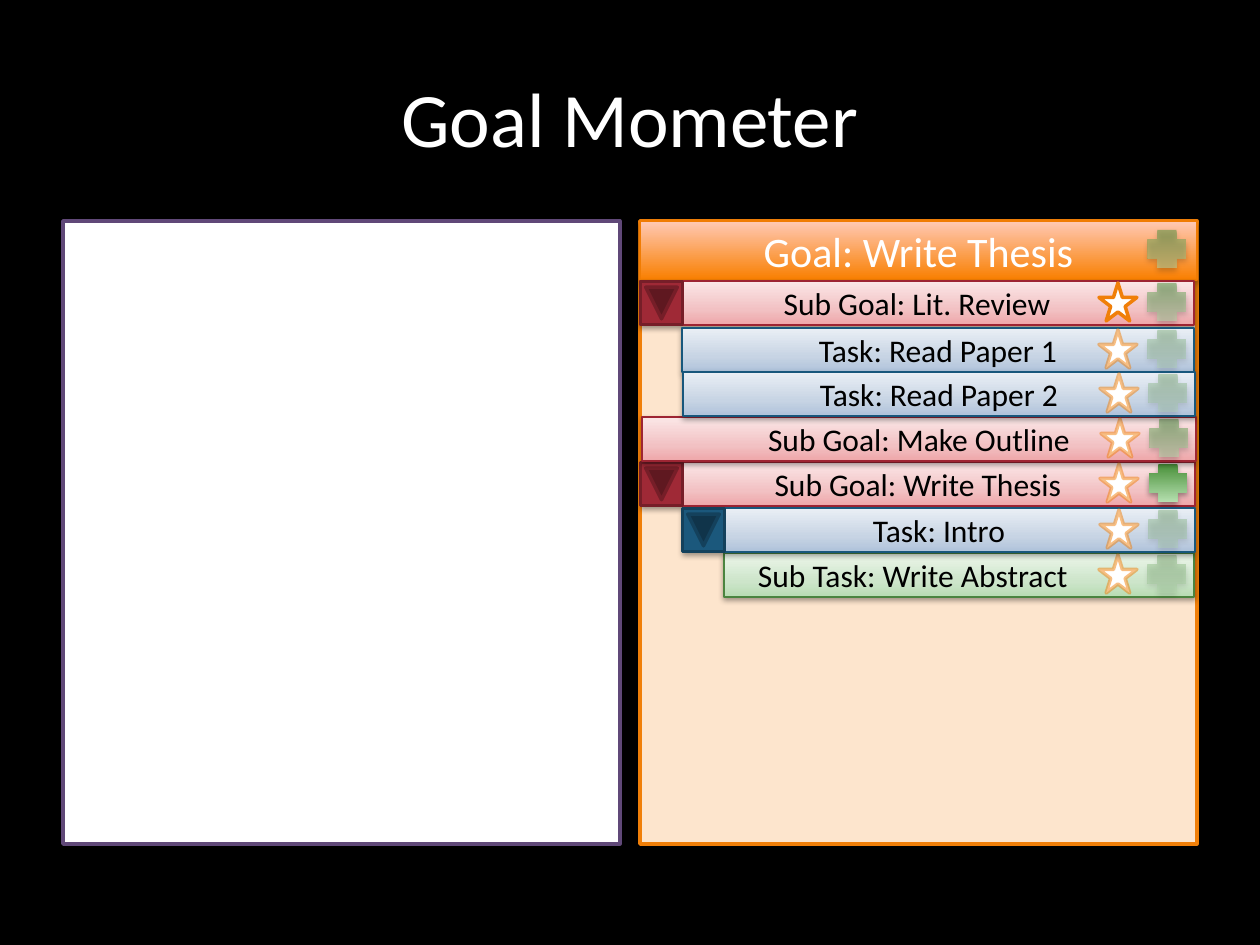
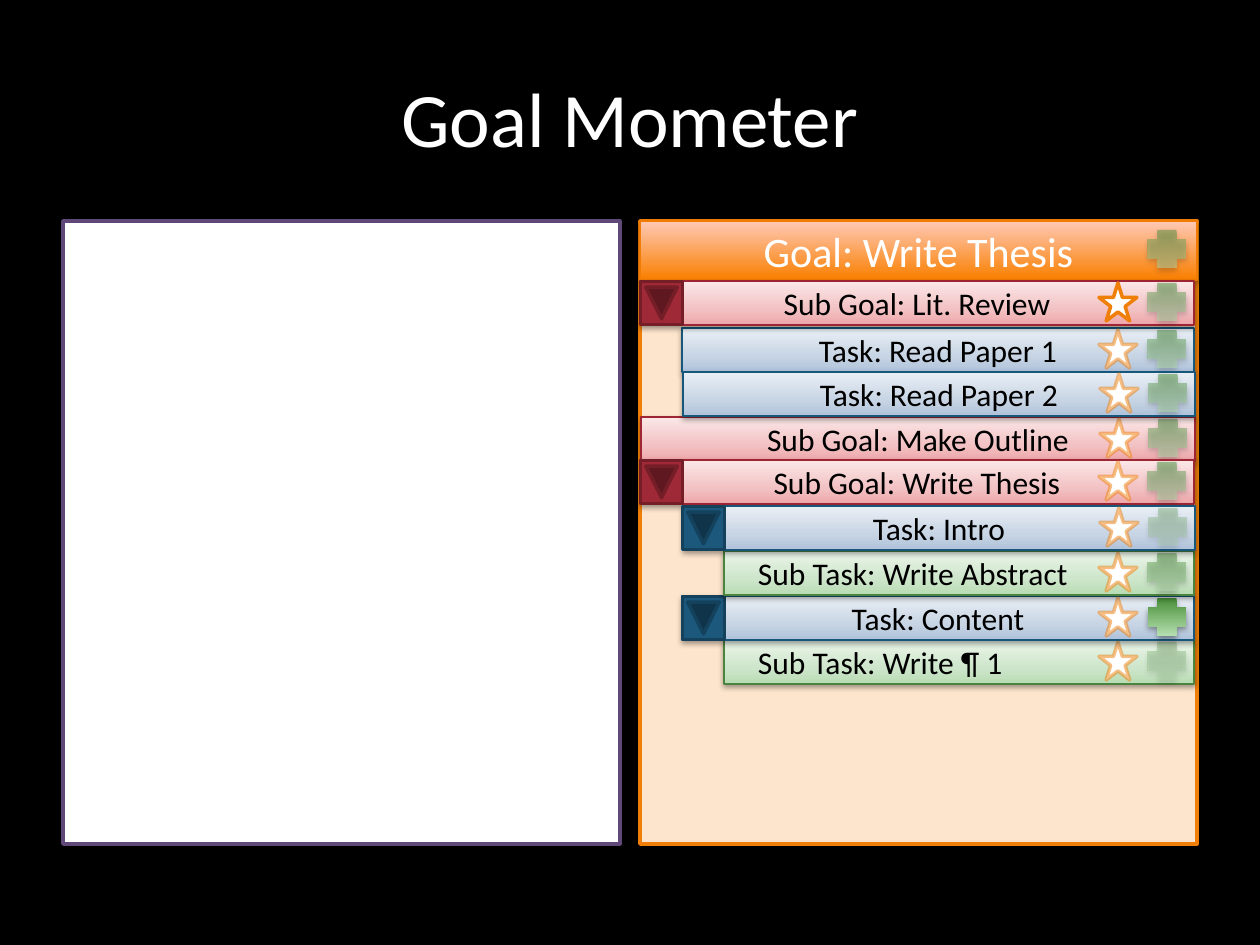
from lxml.etree import SubElement
from pptx import Presentation
from pptx.dml.color import RGBColor
from pptx.enum.shapes import MSO_SHAPE as SHAPE
from pptx.enum.text import MSO_ANCHOR as ANCHOR, PP_ALIGN as ALIGN
from pptx.oxml.ns import qn
from pptx.util import Emu, Pt

PX = 914400 / 126
FONT = "Calibri"

BLACK = RGBColor(0x00, 0x00, 0x00)
WHITE = RGBColor(0xFF, 0xFF, 0xFF)
PURPLE = RGBColor(0x60, 0x48, 0x78)
ORANGE = RGBColor(0xF0, 0x7F, 0x09)
ORANGE_EDGE = RGBColor(0xF0, 0x7C, 0x03)
PEACH = RGBColor(0xFD, 0xE5, 0xCD)
RED = RGBColor(0x9F, 0x29, 0x36)
RED_EDGE = RGBColor(0x9E, 0x25, 0x33)
DARK_RED = RGBColor(0x76, 0x1E, 0x28)
BLUE = RGBColor(0x1B, 0x58, 0x7C)
BLUE_EDGE = RGBColor(0x18, 0x57, 0x7C)
DARK_BLUE = RGBColor(0x14, 0x41, 0x5C)
GREEN_EDGE = RGBColor(0x4B, 0x84, 0x3F)

# Gradient stops run from bottom to top: (percent, colour)
HEADER_STOPS = [(0, RGBColor(0xF9, 0x7F, 0x00)), (100, RGBColor(0xFF, 0xC9, 0xB5))]
PLUS_STOPS = [(0, RGBColor(0x48, 0x8F, 0x38)), (100, RGBColor(0xB5, 0xDF, 0xAF))]
RED_STOPS = [(0, RGBColor(0xEE, 0xA6, 0xA9)), (35, RGBColor(0xF2, 0xC1, 0xC3)),
             (100, RGBColor(0xFB, 0xE7, 0xE7))]
BLUE_STOPS = [(0, RGBColor(0xAF, 0xC2, 0xDA)), (35, RGBColor(0xC7, 0xD4, 0xE4)),
              (100, RGBColor(0xEA, 0xEF, 0xF5))]
GREEN_STOPS = [(0, RGBColor(0xB8, 0xDC, 0xB3)), (35, RGBColor(0xCD, 0xE5, 0xCA)),
               (100, RGBColor(0xEC, 0xF6, 0xEA))]

# Row level: left edge, gradient, outline, button fill, button outline
LEVELS = {
    "Sub Goal": (640, RED_STOPS, RED_EDGE, RED, DARK_RED),
    "Task": (682, BLUE_STOPS, BLUE_EDGE, BLUE, DARK_BLUE),
    "Sub Task": (724, GREEN_STOPS, GREEN_EDGE, None, None),
}
ROW_RIGHT, ROW_HEIGHT = 1194, 44
STAR_LEFT, PLUS_LEFT, ICON = 1099, 1148, 38

# Rows from back to front: level, name, top, shift right, plus opacity, has button
SLIDES = [
    [
        ("Sub Goal", "Write Thesis", 462, 1, 100, True),
        ("Sub Task", "Write Abstract", 553, 0, 30, False),
        ("Task", "Intro", 508, 1, 30, True),
        ("Sub Goal", "Make Outline", 417, 2, 50, False),
        ("Sub Goal", "Lit. Review", 281, 0, 50, True),
        ("Task", "Read Paper 1", 328, 0, 30, False),
        ("Task", "Read Paper 2", 372, 1, 30, False),
    ],
    [
        ("Sub Task", "Write ¶ 1", 640, 0, 30, False),
        ("Task", "Content", 596, 0, 100, True),
        ("Sub Task", "Write Abstract", 551, 0, 50, False),
        ("Sub Goal", "Make Outline", 417, 1, 50, False),
        ("Task", "Read Paper 1", 328, 0, 50, False),
        ("Sub Goal", "Lit. Review", 281, 0, 50, True),
        ("Task", "Read Paper 2", 372, 1, 50, False),
        ("Sub Goal", "Write Thesis", 460, 0, 50, True),
        ("Task", "Intro", 506, 1, 30, True),
    ],
]


def add_box(page, kind, frame, fill, line=None, weight=2, text="", size=18, color=BLACK):
    """Add a shape; a list of stops as fill gives a gradient with a soft shadow."""
    box = page.shapes.add_shape(kind, *[Emu(round(length * PX)) for length in frame])
    box.shadow.inherit = False
    if isinstance(fill, list):
        box.fill.gradient()
        box.fill.gradient_angle = 90
        properties = box._element.spPr
        stops = properties.find(qn("a:gradFill")).find(qn("a:gsLst"))
        stops.clear()
        for percent, stop_color in fill:
            stop = SubElement(stops, qn("a:gs"), pos=str(percent * 1000))
            SubElement(stop, qn("a:srgbClr"), val=str(stop_color))
        shadow = SubElement(properties.find(qn("a:effectLst")), qn("a:outerShdw"),
                            blurRad="40000", dist="21000", dir="5400000", rotWithShape="0")
        shade = SubElement(shadow, qn("a:srgbClr"), val=str(BLACK))
        SubElement(shade, qn("a:alpha"), val="37000")
    else:
        box.fill.solid()
        box.fill.fore_color.rgb = fill
    if line is None:
        box.line.fill.background()
    else:
        box.line.color.rgb = line
        box.line.width = Pt(weight)
    if text:
        box.text_frame.vertical_anchor = ANCHOR.MIDDLE
        para = box.text_frame.paragraphs[0]
        para.text = text
        para.alignment = ALIGN.CENTER
        para.font.name, para.font.size, para.font.color.rgb = FONT, Pt(size), color
    return box


def add_plus(page, left, top, opacity):
    plus = add_box(page, SHAPE.CROSS, (left, top, ICON, ICON), PLUS_STOPS)
    plus._element.spPr.find(qn("a:xfrm")).set("flipV", "1")
    if opacity < 100:
        for stop_color in plus._element.spPr.find(qn("a:gradFill")).iter(qn("a:srgbClr")):
            SubElement(stop_color, qn("a:alpha"), val=str(opacity * 1000))


deck = Presentation()
deck.slide_width, deck.slide_height = Emu(round(1260 * PX)), Emu(round(945 * PX))

for rows in SLIDES:
    page = deck.slides.add_slide(deck.slide_layouts[6])
    page.background.fill.solid()
    page.background.fill.fore_color.rgb = BLACK

    title = page.shapes.add_textbox(*[Emu(round(length * PX)) for length in (63, 38, 1134, 157)])
    title.text_frame.word_wrap = True
    title.text_frame.vertical_anchor = ANCHOR.MIDDLE
    heading = title.text_frame.paragraphs[0]
    heading.text = "Goal Mometer"
    heading.alignment = ALIGN.CENTER
    heading.font.name, heading.font.size, heading.font.color.rgb = FONT, Pt(44), WHITE

    add_box(page, SHAPE.RECTANGLE, (63, 221, 557, 623), WHITE, PURPLE)
    add_box(page, SHAPE.RECTANGLE, (640, 221, 557, 623), PEACH, ORANGE)
    add_box(page, SHAPE.RECTANGLE, (640, 221, 557, 59), HEADER_STOPS, ORANGE_EDGE, 0.75,
            "Goal: Write Thesis", 24, WHITE)
    add_plus(page, PLUS_LEFT, 230, 50)

    for level, name, top, shift, opacity, has_button in rows:
        left, stops, edge, button_fill, button_edge = LEVELS[level]
        row = add_box(page, SHAPE.RECTANGLE, (left + shift, top, ROW_RIGHT - left, ROW_HEIGHT),
                      stops, edge, 0.75, f"{level}: {name}")
        if level == "Sub Task":
            row.text_frame.paragraphs[0].alignment = ALIGN.LEFT
            row.text_frame.margin_left = Emu(round(34 * PX))
        add_plus(page, PLUS_LEFT + shift, top + 2, opacity)

        star = add_box(page, SHAPE.STAR_5_POINT, (STAR_LEFT + shift, top + 2, ICON, ICON),
                       WHITE, ORANGE)
        if name != "Lit. Review":
            star_color = next(star._element.spPr.find(qn("a:ln")).iter(qn("a:srgbClr")))
            SubElement(star_color, qn("a:alpha"), val="50000")

        if has_button:
            button = add_box(page, SHAPE.ACTION_BUTTON_FORWARD_OR_NEXT,
                             (left, top + 1, 43, 42), button_fill, button_edge)
            button.rotation = 90

deck.save("out.pptx")
